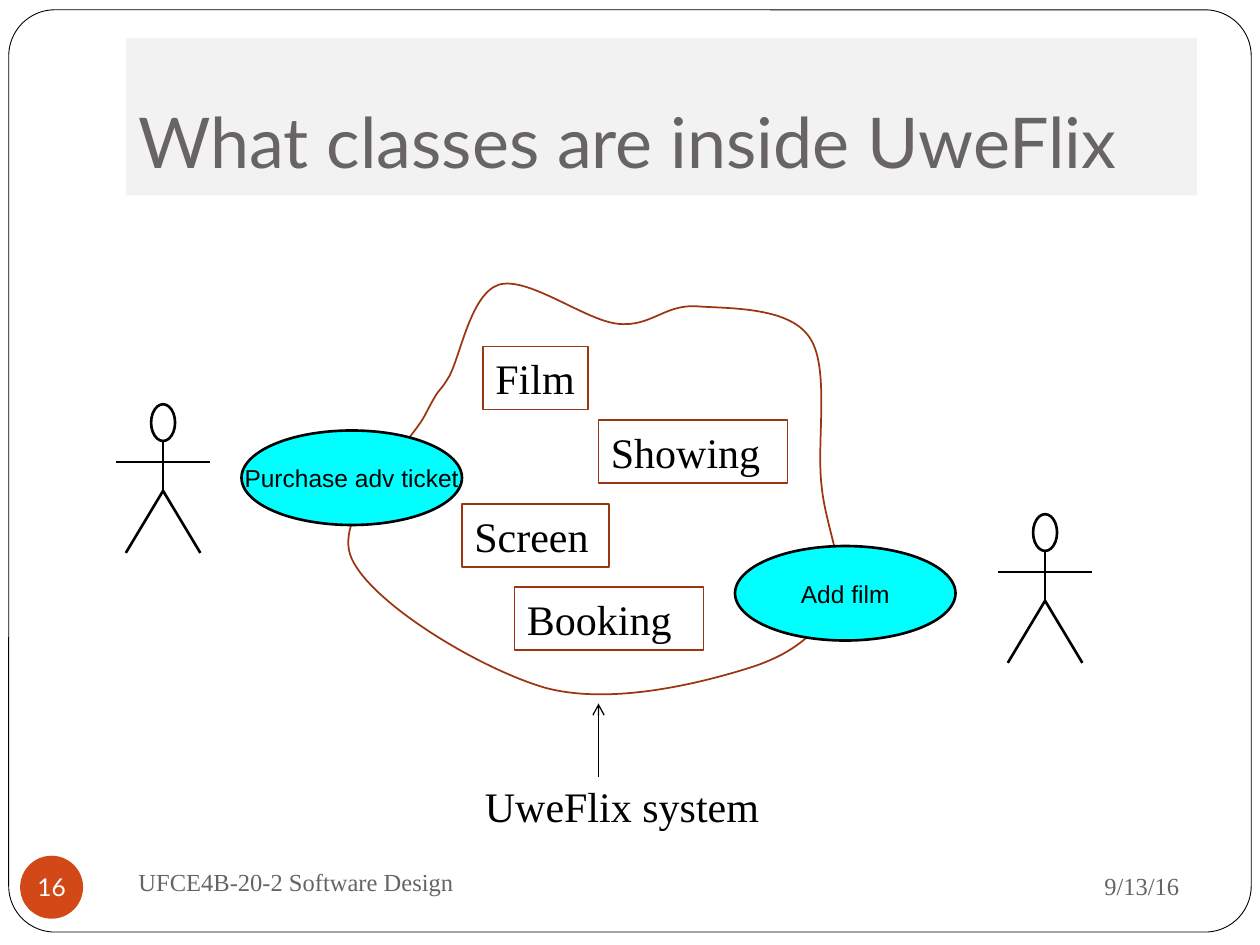
from dataclasses import dataclass
from typing import Optional

from lxml import etree
from pptx import Presentation
from pptx.dml.color import RGBColor
from pptx.enum import shapes, text
from pptx.oxml import ns
from pptx.util import Pt

COLORS = {
    "white": "FFFFFF", "black": "000000", "band": "F2F2F2", "grey": "696464",
    "rust": "9C3511", "orange": "D34817", "cyan": "00FFFF",
}
SERIF, SANS, HEADING = "Times New Roman", "Arial", "Lato"
LEFT, CENTER, RIGHT = text.PP_ALIGN.LEFT, text.PP_ALIGN.CENTER, text.PP_ALIGN.RIGHT
TOP, MIDDLE, BOTTOM = text.MSO_ANCHOR.TOP, text.MSO_ANCHOR.MIDDLE, text.MSO_ANCHOR.BOTTOM
RECTANGLE, OVAL = shapes.MSO_SHAPE.RECTANGLE, shapes.MSO_SHAPE.OVAL


@dataclass
class Box:
    left: float
    top: float
    width: float
    height: float

    def lengths(self) -> list:
        return [Pt(v) for v in (self.left, self.top, self.width, self.height)]


@dataclass
class ClassBox:
    name: str
    box: Box


@dataclass
class Actor:
    center: float
    top: float


CLASSES = [
    ClassBox("Film", Box(276, 198, 60, 36)),
    ClassBox("Showing", Box(342, 240, 108, 36)),
    ClassBox("Screen", Box(264, 288, 84, 36)),
    ClassBox("Booking", Box(294, 335.5, 108, 36)),
]
ACTORS = [Actor(93.2, 231), Actor(597.2, 293.8)]

# System boundary: a start point, then two controls and an end for each curve
BOUNDARY = [
    (257, 214.6),
    (263.5, 201.6), (269.3, 167.8), (285.1, 162.7),
    (301.7, 157.7), (334.1, 182.9), (352.8, 185),
    (371.5, 187.2), (379.4, 174.2), (397.4, 175),
    (415.4, 176.4), (450, 175), (462.2, 192.2),
    (474.5, 208.8), (466.6, 251.3), (469.4, 276.5),
    (471.6, 301.7), (483.8, 324), (477.4, 341.3),
    (470.2, 358.6), (455.8, 373), (428.4, 381.6),
    (401, 390.2), (349.9, 403.2), (311.8, 393.1),
    (274.3, 382.3), (212.4, 344.9), (200.9, 319),
    (189.4, 293), (234.7, 254.2), (243.4, 236.2),
    (252.7, 218.2), (249.8, 226.8), (257, 214.6),
]


def color(name: str) -> RGBColor:
    return RGBColor.from_string(COLORS[name])


def paint(shape, fill: Optional[str] = None, line: Optional[str] = None, width: float = 0.75):
    if fill:
        shape.fill.solid()
        shape.fill.fore_color.rgb = color(fill)
    else:
        shape.fill.background()
    if line:
        shape.line.color.rgb = color(line)
        shape.line.width = Pt(width)
    else:
        shape.line.fill.background()
    shape.shadow.inherit = False
    return shape


def write(shape, words: str, *, size: float, font: str, ink: str = "black", align=LEFT,
          anchor=TOP, wrap: bool = True, insets: tuple = (7.2, 3.6, 7.2, 3.6)) -> None:
    frame = shape.text_frame
    frame.auto_size = text.MSO_AUTO_SIZE.NONE
    frame.word_wrap = wrap
    frame.vertical_anchor = anchor
    frame.margin_left, frame.margin_top, frame.margin_right, frame.margin_bottom = map(Pt, insets)
    paragraph = frame.paragraphs[0]
    paragraph.text = words
    paragraph.alignment = align
    paragraph.space_before = Pt(0)
    paragraph.font.size = Pt(size)
    paragraph.font.name = font
    paragraph.font.color.rgb = color(ink)


def place(shape, box: Box) -> None:
    shape.left, shape.top, shape.width, shape.height = box.lengths()


def bring_to_front(shape) -> None:
    shape.element.getparent().append(shape.element)


def add_preset(slide, kind, box: Box, **look):
    return paint(slide.shapes.add_shape(kind, *box.lengths()), **look)


def add_line(slide, start: tuple, end: tuple, width: float, arrow: bool = False) -> None:
    line = slide.shapes.add_connector(
        shapes.MSO_CONNECTOR.STRAIGHT, *(Pt(v) for v in (*start, *end)))
    line.line.color.rgb = color("black")
    line.line.width = Pt(width)
    if arrow:
        etree.SubElement(line.line._get_or_add_ln(), ns.qn("a:tailEnd"), type="arrow")
    etree.SubElement(line.element.spPr, ns.qn("a:effectLst"))


def add_outline(slide, points: list, line: str, width: float, close: bool = False):
    start, *rest = [(Pt(x), Pt(y)) for x, y in points]
    builder = slide.shapes.build_freeform(*start)
    builder.add_line_segments(rest, close=close)
    return paint(builder.convert_to_shape(), line=line, width=width)


def bend(shape) -> None:
    """Turn every three straight segments into one cubic curve."""
    segments = list(shape.element.iter(ns.qn("a:lnTo")))
    for index in range(0, len(segments), 3):
        curve = etree.Element(ns.qn("a:cubicBezTo"))
        segments[index].addprevious(curve)
        for segment in segments[index:index + 3]:
            curve.append(segment[0])
            segment.getparent().remove(segment)


def add_actor(slide, actor: Actor) -> None:
    x, y = actor.center, actor.top
    add_line(slide, (x, y + 49.5), (x, y + 21), 1.5)
    add_outline(slide, [(x - 21.3, y + 85), (x, y + 49.5), (x + 21.3, y + 85)], "black", 1.5)
    add_preset(slide, OVAL, Box(x - 6.85, y, 13.7, 21), line="black", width=1.5)
    add_line(slide, (x - 27, y + 33), (x + 27, y + 33), 1.5)


def main() -> None:
    presentation = Presentation()
    presentation.slide_width, presentation.slide_height = Pt(720), Pt(540)
    slide = presentation.slides.add_slide(presentation.slide_layouts[1])
    title, body = slide.shapes.title, slide.placeholders[1]

    # Frame and title
    frame = add_preset(slide, shapes.MSO_SHAPE.ROUNDED_RECTANGLE, Box(5, 5.6, 710, 527),
                       fill="white", line="black", width=0.5)
    frame.adjustments[0] = 0.05
    place(title, Box(72, 21.6, 612, 90))
    paint(title, fill="band")
    write(title, "What classes are inside UweFlix", size=40, font=HEADING, ink="grey",
          anchor=BOTTOM, insets=(7.2, 3.6, 7.2, 7.2))
    bring_to_front(title)

    # System boundary and its label
    bend(add_outline(slide, BOUNDARY, "rust", 1, close=True))
    system = add_preset(slide, RECTANGLE, Box(270, 442.5, 186, 36), fill="white", line="white")
    write(system, "UweFlix system", size=24, font=SERIF)

    for actor in ACTORS:
        add_actor(slide, actor)

    # Use cases: the first is the body placeholder, shaped as an ellipse
    place(body, Box(138, 246, 126, 54))
    geometry = etree.Element(ns.qn("a:prstGeom"), prst="ellipse")
    etree.SubElement(geometry, ns.qn("a:avLst"))
    body.element.spPr.find(ns.qn("a:xfrm")).addnext(geometry)
    properties = body.text_frame.paragraphs[0]._p.get_or_add_pPr()
    properties.set("marL", "0")
    properties.set("indent", "0")
    etree.SubElement(properties, ns.qn("a:buNone"))
    paint(body, fill="cyan", line="black", width=1.5)
    bring_to_front(body)
    add_film = add_preset(slide, OVAL, Box(420, 312, 126, 54),
                          fill="cyan", line="black", width=1.5)
    for use_case, words in ((body, "Purchase adv ticket"), (add_film, "Add film")):
        write(use_case, words, size=14, font=SANS, align=CENTER, anchor=MIDDLE, wrap=False)

    add_line(slide, (342, 444), (342, 402), 0.75, arrow=True)

    # Footer
    for words, box, align in (
        ("9/13/16", Box(486, 487.5, 195, 37.5), RIGHT),
        ("UFCE4B-20-2 Software Design", Box(72, 486, 312, 36), LEFT),
    ):
        write(slide.shapes.add_textbox(*box.lengths()), words, size=14, font=SERIF,
              ink="grey", align=align, anchor=MIDDLE)
    number = add_preset(slide, OVAL, Box(11.5, 489, 36, 36), fill="orange")
    write(number, "16", size=14, font=HEADING, ink="white", align=CENTER, anchor=MIDDLE,
          wrap=False, insets=(0, 0, 0, 0))

    # Classes
    for item in CLASSES:
        write(add_preset(slide, RECTANGLE, item.box, line="rust"), item.name,
              size=24, font=SERIF)

    presentation.save("out.pptx")


if __name__ == "__main__":
    main()
